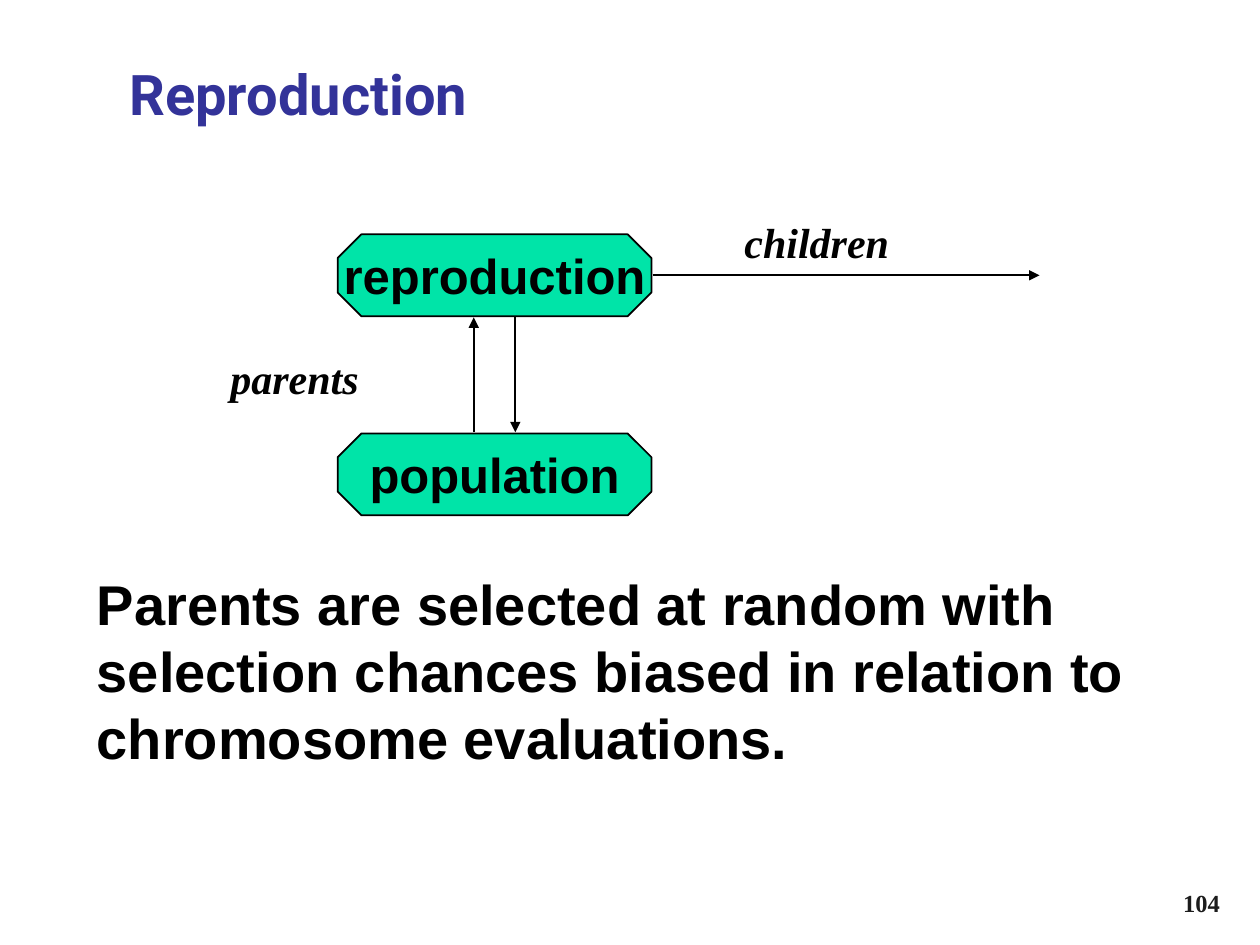
from pptx import Presentation
from pptx.dml.color import RGBColor
from pptx.enum.shapes import MSO_CONNECTOR, MSO_SHAPE
from pptx.enum.text import MSO_ANCHOR, PP_ALIGN
from pptx.oxml.ns import qn
from pptx.util import Inches, Pt

BLACK, NAVY, GREEN, DARK = "000000", "333399", "00E4A8", "1C1C1C"
SANS, SERIF = "Arial", "Times New Roman"

# text, (left, top, width, height), size, font, colour, wrap, italic
TEXTS = [
    ("Reproduction", (0.93, 0.42, 8.5, 0.83), 32, "Roboto", NAVY, True, False),
    ("parents", (1.73, 2.75, 1.22, 0.5), 24, SERIF, BLACK, False, True),
    ("children", (5.81, 1.67, 1.35, 0.5), 24, SERIF, BLACK, False, True),
    ("Parents are selected at random with selection chances biased in "
     "relation to chromosome evaluations.",
     (0.67, 4.47, 8.66, 1.7), 32, SANS, BLACK, True, False),
]
PAGE = ("104", (7.7, 6.83, 2.08, 0.5), 14, SERIF, DARK, True, False)

STAGES = ["reproduction", "population"]
LEFT, TOP, WIDE, HIGH, STEP = 2.68, 1.86, 2.49, 0.65, 1.58
GAP = 0.01  # space between an arrow's end and a stage

right = LEFT + WIDE + GAP
mid = TOP + HIGH / 2
upper = TOP + HIGH + GAP
lower = TOP + STEP - GAP
ARROWS = [  # start, tip
    ((right, mid), (8.25, mid)),
    ((3.76, lower), (3.76, upper)),
    ((4.09, upper), (4.09, lower)),
]


def color(text):
    return RGBColor.from_string(text)


def write(shape, text, size, face, tint, wrap=True, italic=False):
    frame = shape.text_frame
    frame.text = text
    frame.word_wrap = wrap
    para = frame.paragraphs[0]
    font = para.runs[0].font
    font.size, font.name = Pt(size), face
    font.bold, font.italic = True, italic
    font.color.rgb = color(tint)
    return frame, para


def label(slide, text, place, *style):
    box = slide.shapes.add_textbox(*map(Inches, place))
    return write(box, text, *style)


def stage(slide, text, row):
    place = (LEFT, TOP + row * STEP, WIDE, HIGH)
    shape = slide.shapes.add_shape(MSO_SHAPE.OCTAGON, *map(Inches, place))
    shape.adjustments[0] = 0.29
    shape.shadow.inherit = False
    shape.fill.solid()
    shape.fill.fore_color.rgb = color(GREEN)
    shape.line.color.rgb = color(BLACK)
    shape.line.width = Pt(1)
    frame, para = write(shape, text, 28, SANS, BLACK, False)
    frame.vertical_anchor = MSO_ANCHOR.MIDDLE
    para.alignment = PP_ALIGN.CENTER


def arrow(slide, start, tip):
    line = slide.shapes.add_connector(
        MSO_CONNECTOR.STRAIGHT, *map(Inches, start + tip))
    line.line.color.rgb = color(BLACK)
    line.line.width = Pt(1)
    props = line._element.spPr
    end = props.find(qn("a:ln")).makeelement(
        qn("a:tailEnd"), {"type": "triangle"})
    props.find(qn("a:ln")).append(end)
    props.append(props.makeelement(qn("a:effectLst"), {}))


def main():
    deck = Presentation()
    deck.slide_width, deck.slide_height = Inches(10), Inches(7.5)
    slide = deck.slides.add_slide(deck.slide_layouts[6])
    for row, name in enumerate(STAGES):
        stage(slide, name, row)
    for start, tip in ARROWS:
        arrow(slide, start, tip)
    for item in TEXTS:
        label(slide, *item)
    frame, para = label(slide, *PAGE)
    frame.vertical_anchor = MSO_ANCHOR.BOTTOM
    para.alignment = PP_ALIGN.RIGHT
    deck.save("out.pptx")


if __name__ == "__main__":
    main()
